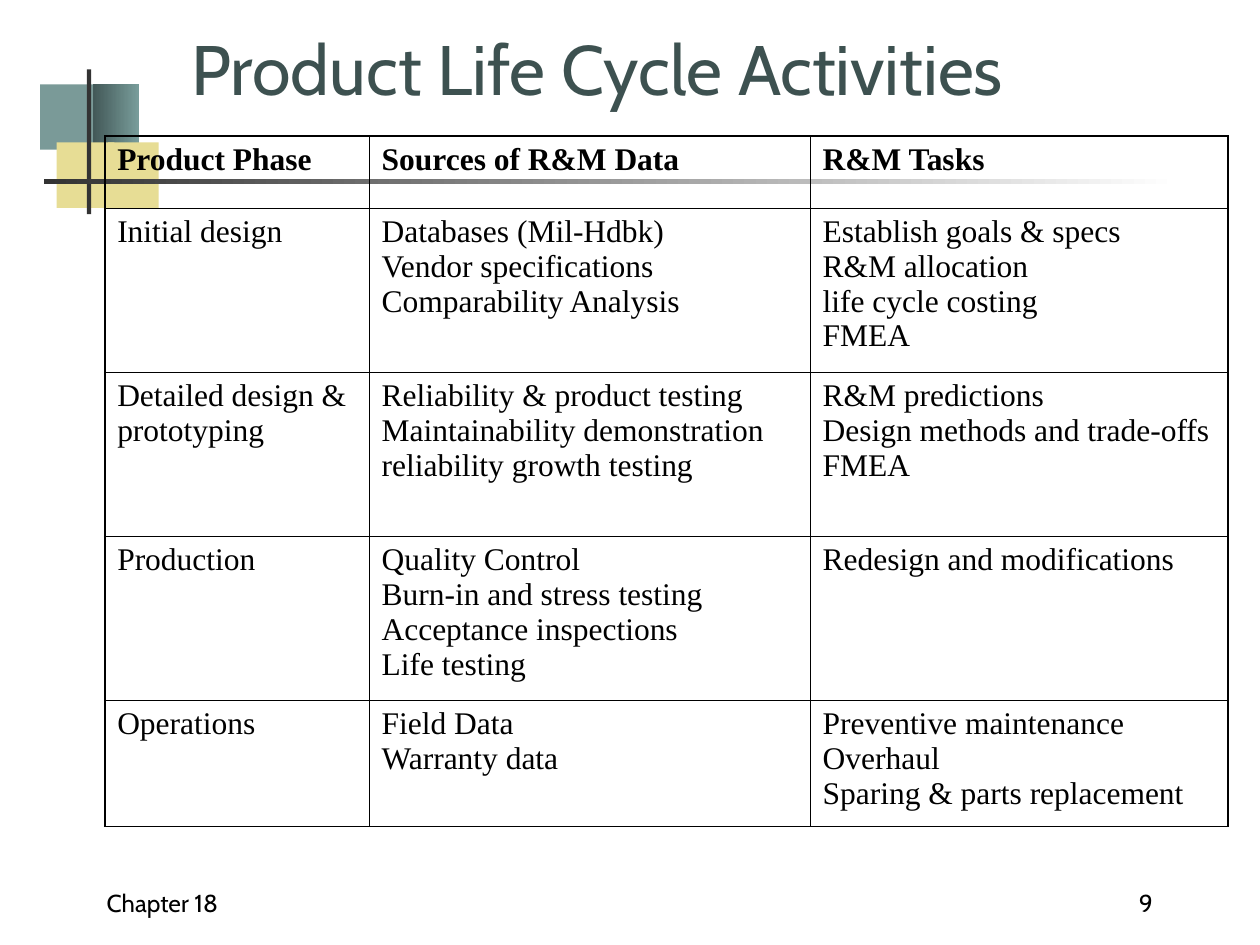
from pptx import Presentation
from pptx.dml.color import RGBColor
from pptx.enum.shapes import MSO_SHAPE
from pptx.enum.text import MSO_ANCHOR, PP_ALIGN
from pptx.oxml import parse_xml
from pptx.oxml.ns import nsdecls
from pptx.util import Cm, Pt

COLORS = {
    "teal": "7A9A98", "dark teal": "435958", "light teal": "789C9A",
    "sand": "E7DD95", "charcoal": "333333", "white": "FFFFFF",
    "title": "3D5150", "black": "000000",
}


def style_text(frame, font, size, color, bold=False):
    for paragraph in frame.paragraphs:
        for run in paragraph.runs:
            run.font.name = font
            run.font.size = Pt(size)
            run.font.bold = bold
            run.font.color.rgb = RGBColor.from_string(COLORS[color])


def add_border(cell, side, width):
    """Draw one cell side; call in the order L, R, T, B, before the fill."""
    cell._tc.get_or_add_tcPr().append(parse_xml(
        f'<a:ln{side} {nsdecls("a")} w="{Pt(width)}"><a:solidFill>'
        f'<a:srgbClr val="{COLORS["black"]}"/></a:solidFill></a:ln{side}>'))


prs = Presentation()
prs.slide_width, prs.slide_height = Cm(25.4), Cm(19.05)
slide = prs.slides.add_slide(prs.slide_layouts[6])

# Corner ornament: left, top, width, height, one colour or two to blend
ornament = [
    (0.81, 1.7, 1.22, 1.32, ["teal"]),
    (1.88, 1.7, 0.92, 1.32, ["dark teal", "light teal"]),
    (1.14, 2.87, 1.17, 1.32, ["sand"]),
    (2.18, 2.87, 1.02, 1.32, ["sand"]),
    (1.75, 1.4, 0.09, 2.92, ["charcoal"]),
    (0.89, 3.61, 22.86, 0.1, ["charcoal", "white"]),
]
for left, top, width, height, colors in ornament:
    block = slide.shapes.add_shape(
        MSO_SHAPE.RECTANGLE, Cm(left), Cm(top), Cm(width), Cm(height))
    block.shadow.inherit = False
    block.line.fill.background()
    if len(colors) == 1:
        block.fill.solid()
        block.fill.fore_color.rgb = RGBColor.from_string(COLORS[colors[0]])
    else:
        block.fill.gradient()
        block.fill.gradient_angle = 0
        for position, (stop, color) in enumerate(zip(block.fill.gradient_stops, colors)):
            stop.position = position
            stop.color.rgb = RGBColor.from_string(COLORS[color])

# Title and footer
captions = [
    ("Product Life Cycle Activities", 3.61, 0.43, 19.89, 1.9, 40, "title", PP_ALIGN.LEFT),
    ("Chapter 18", 1.9, 17.35, 5.29, 1.27, 14, "black", PP_ALIGN.LEFT),
    ("9", 18.2, 17.35, 5.29, 1.27, 14, "black", PP_ALIGN.RIGHT),
]
for text, left, top, width, height, size, color, align in captions:
    caption = slide.shapes.add_textbox(Cm(left), Cm(top), Cm(width), Cm(height)).text_frame
    caption.word_wrap = True
    caption.vertical_anchor = MSO_ANCHOR.BOTTOM
    caption.text = text
    caption.paragraphs[0].alignment = align
    style_text(caption, "Cabin", size, color)

# Activities by phase
activities = [
    ("Product Phase", "Sources of R&M Data", "R&M Tasks"),
    ("Initial design",
     "Databases (Mil-Hdbk)\nVendor specifications\nComparability Analysis",
     "Establish goals & specs\nR&M allocation\nlife cycle costing\nFMEA"),
    ("Detailed design & prototyping",
     "Reliability & product testing\nMaintainability demonstration\nreliability growth testing",
     "R&M predictions\nDesign methods and trade-offs\nFMEA"),
    ("Production",
     "Quality Control\nBurn-in and stress testing\nAcceptance inspections\nLife testing",
     "Redesign and modifications"),
    ("Operations",
     "Field Data\nWarranty data",
     "Preventive maintenance\nOverhaul\nSparing & parts replacement"),
]
column_widths = [5.33, 8.89, 8.43]
row_heights = [1.45, 3.31, 3.31, 3.31, 2.54]
last_row, last_column = len(row_heights) - 1, len(column_widths) - 1
THIN, THICK = 0.45, 1.08

table = slide.shapes.add_table(
    len(row_heights), len(column_widths), Cm(2.11), Cm(2.74),
    Cm(sum(column_widths)), Cm(sum(row_heights))).table
table.first_row = table.horz_banding = False
for column, width in zip(table.columns, column_widths):
    column.width = Cm(width)
for row, height in zip(table.rows, row_heights):
    row.height = Cm(height)

for r, phase in enumerate(activities):
    for c, text in enumerate(phase):
        cell = table.cell(r, c)
        cell.text_frame.text = text
        style_text(cell.text_frame, "Times New Roman", 18, "black", bold=r == 0)
        if r == 0:
            cell.text_frame.paragraphs[0].space_before = Pt(4.5)
        outer_sides = {"L": c == 0, "R": c == last_column, "T": r == 0, "B": r == last_row}
        for side, is_outer in outer_sides.items():
            add_border(cell, side, THICK if is_outer else THIN)
        cell.fill.background()

prs.save("out.pptx")
